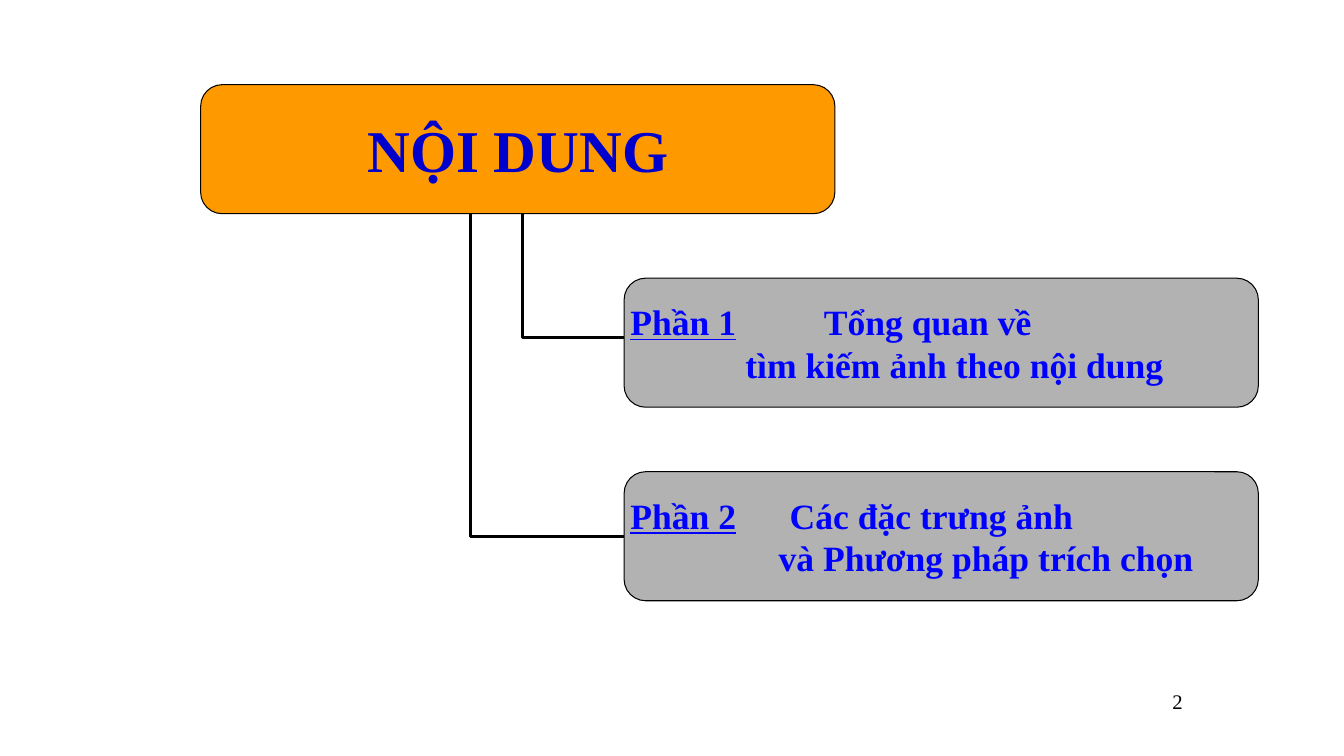
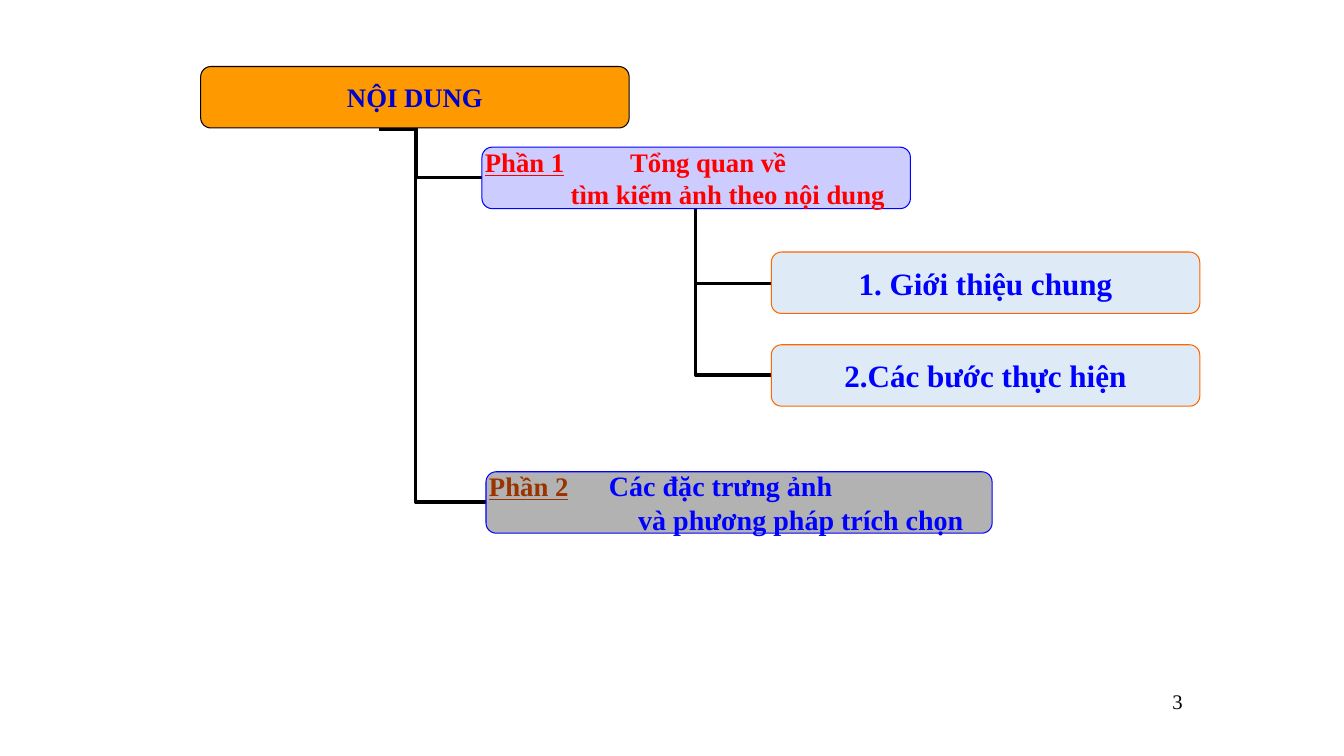
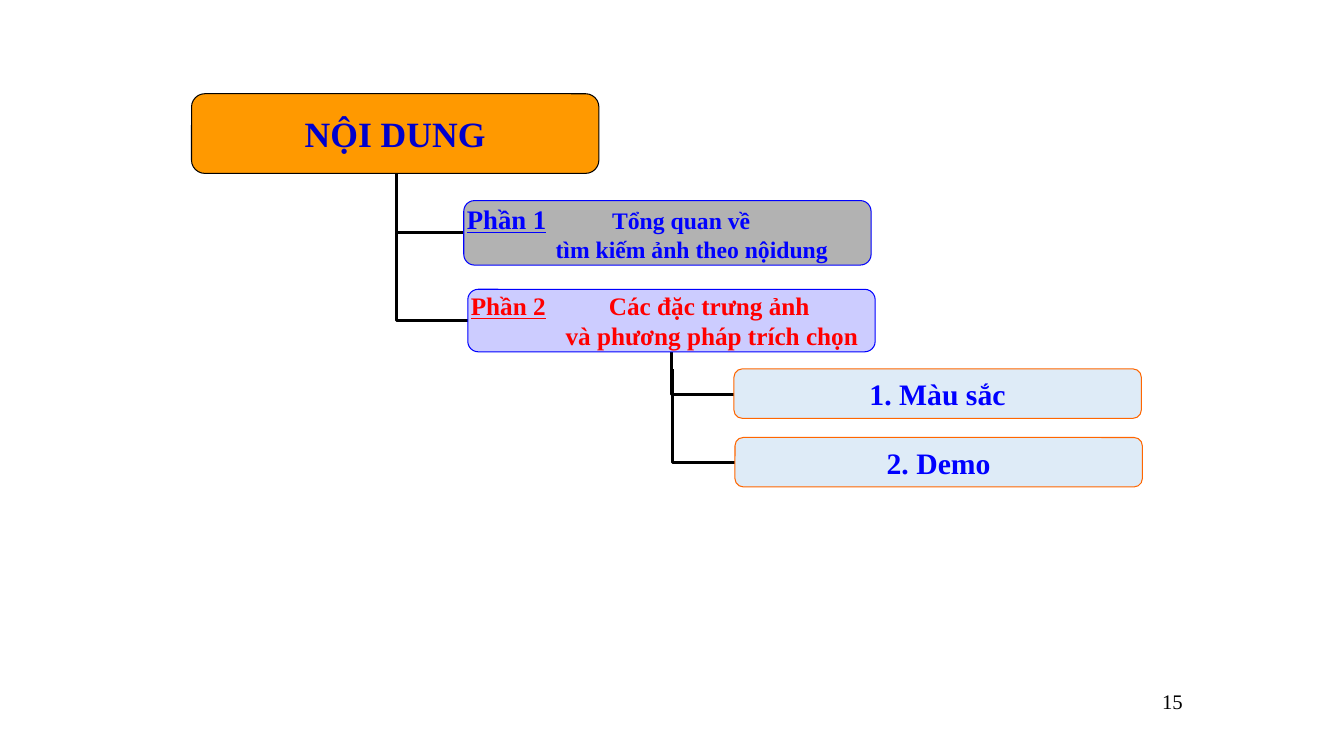
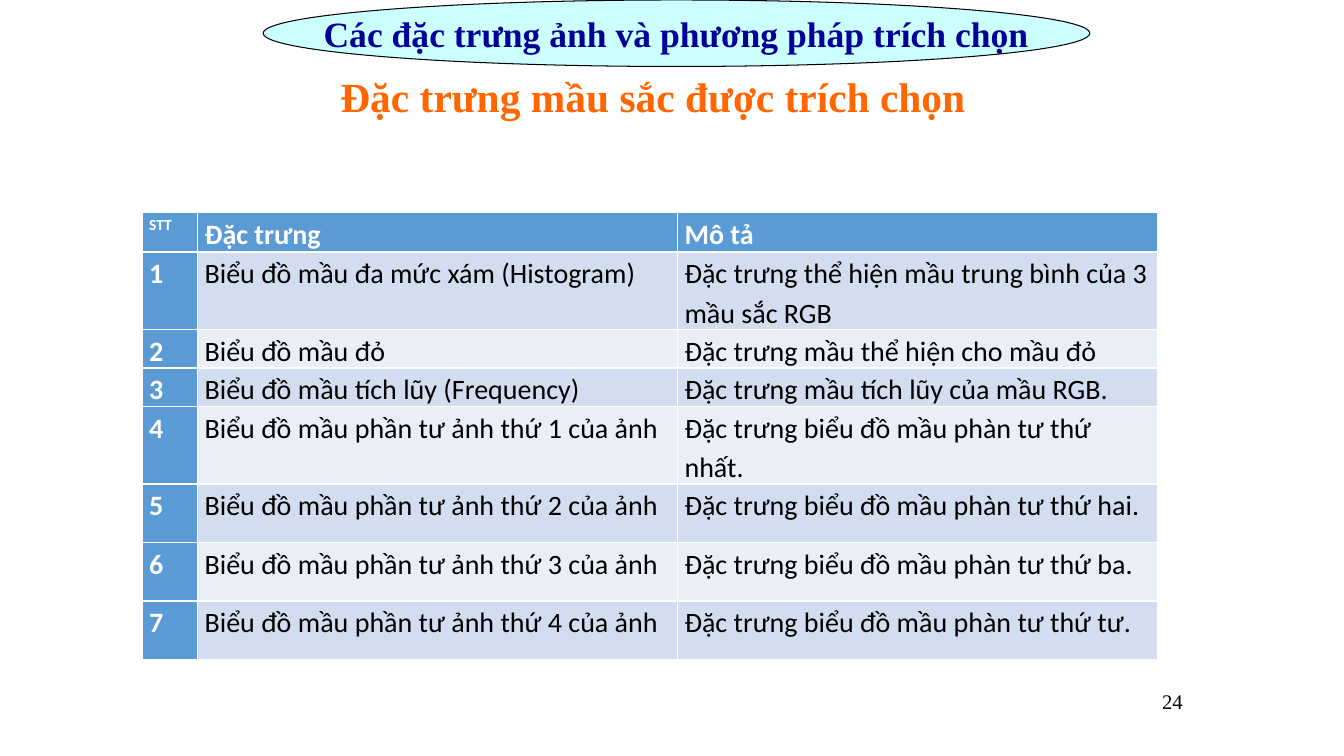
"""Builds four slides: three outline trees and a table of colour features."""
from lxml import etree
from pptx import Presentation
from pptx import util as u
from pptx.dml.color import RGBColor
from pptx.enum import shapes, text
from pptx.oxml.ns import qn

BLACK = RGBColor(0x00, 0x00, 0x00)
WHITE = RGBColor(0xFF, 0xFF, 0xFF)
ORANGE = RGBColor(0xFF, 0x99, 0x00)
DEEP_ORANGE = RGBColor(0xFF, 0x66, 0x00)
GREY = RGBColor(0xB2, 0xB2, 0xB2)
BLUE = RGBColor(0x00, 0x00, 0xFF)
ROOT_BLUE = RGBColor(0x00, 0x00, 0xCC)
NAVY = RGBColor(0x00, 0x00, 0x99)
RED = RGBColor(0xFF, 0x00, 0x00)
BROWN = RGBColor(0x99, 0x33, 0x00)
LILAC = RGBColor(0xCC, 0xCC, 0xFF)
PALE_BLUE = RGBColor(0xDE, 0xEB, 0xF7)
CYAN = RGBColor(0xCC, 0xFF, 0xFF)
HEAD_BLUE = RGBColor(0x5B, 0x9B, 0xD5)
BANDS = (RGBColor(0xD2, 0xDE, 0xEF), RGBColor(0xEA, 0xEF, 0xF7))

SERIF, SANS = "Times New Roman", "Calibri"
LEFT, CENTER, RIGHT = text.PP_ALIGN.LEFT, text.PP_ALIGN.CENTER, text.PP_ALIGN.RIGHT
ROUNDED, OVAL = shapes.MSO_SHAPE.ROUNDED_RECTANGLE, shapes.MSO_SHAPE.OVAL
MIDDLE = text.MSO_ANCHOR.MIDDLE


def apply(target, values):
    """Set each named attribute of the target."""
    for name, value in values.items():
        setattr(target, name, value)


class Slides:
    """Holds the deck, its style and the current slide."""

    def __init__(self):
        """Open an empty widescreen deck."""
        self.deck = Presentation()
        apply(self.deck, {"slide_width": u.Inches(13.33), "slide_height": u.Inches(7.5)})

    def new_page(self, number):
        """Start a slide and write its page number."""
        self.page = self.deck.slides.add_slide(self.deck.slide_layouts[6])
        self.label((9.11, 6.83, 2.62, 0.51), str(number), 14.8, BLACK, align=RIGHT, bold=False)

    def span(self, para, words, size, color, bold=True, underline=False, font=SERIF):
        """Add formatted words to a paragraph."""
        span = para.add_run()
        span.text = words
        apply(span.font, {"name": font, "size": u.Pt(size), "bold": bold, "underline": underline})
        span.font.color.rgb = color

    def frame(self, box, margins=(0, 0), wrap=True, anchor=text.MSO_ANCHOR.TOP):
        """Set margins, wrapping and anchor, and return the text frame."""
        side, edge = map(u.Inches, margins)
        frame = box.text_frame
        apply(frame, {"margin_left": side, "margin_right": side, "margin_top": edge,
                      "margin_bottom": edge, "word_wrap": wrap, "vertical_anchor": anchor})
        return frame

    def label(self, place, words, size, color, align=CENTER, bold=True, margins=(0, 0), wrap=True):
        """Add a plain line of text."""
        box = self.page.shapes.add_textbox(*map(u.Inches, place))
        para = self.frame(box, margins, wrap).paragraphs[0]
        para.alignment = align
        self.span(para, words, size, color, bold)

    def box(self, place, fill, line, kind=ROUNDED, **framing):
        """Add an outlined shape and return its text frame."""
        box = self.page.shapes.add_shape(kind, *map(u.Inches, place))
        box.shadow.inherit = False
        box.fill.solid()
        box.fill.fore_color.rgb = fill
        box.line.color.rgb = line
        box.line.width = u.Pt(0.74)
        return self.frame(box, anchor=MIDDLE, **framing)

    def titled(self, place, words, size, color, fill, line, **options):
        """Add a shape with one centred line."""
        para = self.box(place, fill, line, **options).paragraphs[0]
        para.alignment = CENTER
        self.span(para, words, size, color)

    def root(self, place, size):
        """Add the top box of an outline tree."""
        self.titled(place, "NỘI DUNG", size, ROOT_BLUE, ORANGE, BLACK)

    def leaf(self, place, words, size):
        """Add a box of the lowest level."""
        self.titled(place, words, size, BLUE, PALE_BLUE, DEEP_ORANGE)

    def section(self, place, heading, lines, offsets, sizes, colors, fill, line):
        """Add a section box: a heading, then two lines at their own offsets."""
        frame = self.box(place, fill, line)
        first, second = frame.paragraphs[0], frame.add_paragraph()
        first.alignment = second.alignment = LEFT
        tab, indent = (str(u.Inches(offset)) for offset in offsets)
        stops = etree.SubElement(first._p.get_or_add_pPr(), qn("a:tabLst"))
        etree.SubElement(stops, qn("a:tab"), pos=tab, algn="l")
        second_format = second._p.get_or_add_pPr()
        second_format.set("marL", indent)
        second_format.set("indent", "0")
        self.span(first, heading, sizes[0], colors[0], underline=True)
        self.span(first, "\t" + lines[0], sizes[1], colors[1])
        self.span(second, lines[1], sizes[1], colors[1])

    def elbow(self, left, top, right, bottom, bend=None):
        """Join a child on the right to a trunk above, with one or two corners."""
        ends = map(u.Inches, (left, top, right, bottom))
        link = self.page.shapes.add_connector(shapes.MSO_CONNECTOR.ELBOW, *ends)
        link.line.color.rgb = BLACK
        link.line.width = u.Pt(2.24)
        props = link._element.spPr
        etree.SubElement(props, qn("a:effectLst"))
        props.find(qn("a:xfrm")).set("rot", "10800000")
        outline = props.find(qn("a:prstGeom"))
        if bend is None:
            outline.set("prst", "bentConnector2")
        else:
            guides = outline.find(qn("a:avLst"))
            etree.SubElement(guides, qn("a:gd"), name="adj1", fmla=f"val {round(bend * 100000)}")

    def table(self, place, widths, heights, rows):
        """Add a table with a coloured head row and first column."""
        holder = self.page.shapes.add_table(len(rows), len(widths), *map(u.Inches, place))
        table = holder.table
        for column, width in zip(table.columns, widths):
            column.width = u.Inches(width)
        for r, (height, row) in enumerate(zip(heights, rows)):
            table.rows[r].height = u.Inches(height)
            for c, words in enumerate(row):
                self.cell(table.cell(r, c), words, r, c)

    def cell(self, cell, words, r, c):
        """Fill and write one table cell."""
        head = r == 0 or c == 0
        cell.fill.solid()
        cell.fill.fore_color.rgb = HEAD_BLUE if head else BANDS[(r - 1) % 2]
        apply(cell, {"margin_left": u.Inches(0.07), "margin_right": u.Inches(0.07),
                     "margin_top": 0, "margin_bottom": 0})
        para = cell.text_frame.paragraphs[0]
        apply(para, {"line_spacing": 1.15, "space_after": u.Pt(10)})
        size = 11 if r == c == 0 else 20
        self.span(para, words, size, WHITE if head else BLACK, bold=head, font=SANS)


OVERVIEW = ("Tổng quan về", "tìm kiếm ảnh theo nội dung")
FEATURES = ("Các đặc trưng ảnh", "và phương pháp trích chọn")

show = Slides()

show.new_page(2)
show.elbow(4.67, 2.07, 6.19, 5.32)
show.elbow(5.18, 2.07, 6.23, 3.35)
show.root((1.99, 0.84, 6.29, 1.28), 42.3)
show.section((6.19, 2.76, 6.29, 1.28), "Phần 1", OVERVIEW, (1.92, 1.14),
             (25.4, 25.4), (BLUE, BLUE), GREY, BLACK)
show.section((6.19, 4.68, 6.29, 1.28), "Phần 2", (FEATURES[0], "và Phương pháp trích chọn"),
             (1.58, 1.47), (25.4, 25.4), (BLUE, BLUE), GREY, BLACK)

show.new_page(3)
for middle in (3.72, 2.81):
    show.elbow(6.9, 2.07, 7.65, middle)
show.elbow(3.76, 1.28, 4.78, 1.76, bend=0.64)
show.elbow(4.12, 1.28, 4.82, 4.98)
show.root((1.99, 0.66, 4.25, 0.61), 19.1)
show.section((4.78, 1.46, 4.25, 0.61), "Phần 1", OVERVIEW, (1.44, 0.85),
             (19.1, 19.1), (RED, RED), LILAC, BLUE)
show.section((4.82, 4.68, 5.02, 0.61), "Phần 2", FEATURES, (1.19, 1.48),
             (19.1, 20), (BROWN, BLUE), GREY, BLUE)
for top, words in ((2.5, "1. Giới thiệu chung"), (3.42, "2.Các bước thực hiện")):
    show.leaf((7.65, top, 4.25, 0.61), words, 22.2)

show.new_page(15)
show.elbow(6.67, 3.66, 7.29, 4.59)
show.elbow(6.66, 3.49, 7.28, 3.91)
show.elbow(3.93, 1.72, 4.64, 3.18)
show.elbow(3.93, 1.72, 4.6, 2.31)
show.root((1.9, 0.93, 4.04, 0.79), 25.4)
show.section((4.6, 1.99, 4.04, 0.64), "Phần 1", (OVERVIEW[0], "tìm kiếm ảnh theo nộidung"),
             (1.44, 0.88), (19.1, 16.9), (BLUE, BLUE), GREY, BLUE)
show.section((4.64, 2.87, 4.04, 0.62), "Phần 2", FEATURES, (1.37, 0.94),
             (18, 18), (RED, RED), LILAC, BLUE)
for left, top, words in ((7.28, 3.66, "1. Màu sắc"), (7.29, 4.34, "2. Demo")):
    show.leaf((left, top, 4.04, 0.49), words, 21.2)

show.new_page(24)
show.titled((2.61, 0, 8.2, 0.66), " ".join(FEATURES), 25.4, NAVY, CYAN, BLACK,
            kind=OVAL, margins=(0.1, 0.05), wrap=False)
show.label((3.24, 0.66, 6.48, 0.61), "Đặc trưng mầu sắc được trích chọn", 29.6, DEEP_ORANGE,
           margins=(0.1, 0.05), wrap=False)
descriptions = [
    ("Biểu đồ mầu đa mức xám (Histogram)", "Đặc trưng thể hiện mầu trung bình của 3 mầu sắc RGB"),
    ("Biểu đồ mầu đỏ", "Đặc trưng mầu thể hiện cho mầu đỏ"),
    ("Biểu đồ mầu tích lũy (Frequency)", "Đặc trưng mầu tích lũy của mầu RGB."),
]
for quarter, ordinal in enumerate(("nhất", "hai", "ba", "tư"), 1):
    descriptions.append((f"Biểu đồ mầu phần tư ảnh thứ {quarter} của ảnh",
                         f"Đặc trưng biểu đồ mầu phàn tư thứ {ordinal}."))
rows = [("STT", "Đặc trưng", "Mô tả")]
rows += [(str(number), *pair) for number, pair in enumerate(descriptions, 1)]
show.table((1.41, 2.11, 10.08, 4.42), (0.55, 4.76, 4.76),
           (0.39, 0.58, 0.28, 0.28, 0.58, 0.58, 0.58, 0.58), rows)

show.deck.save("out.pptx")
